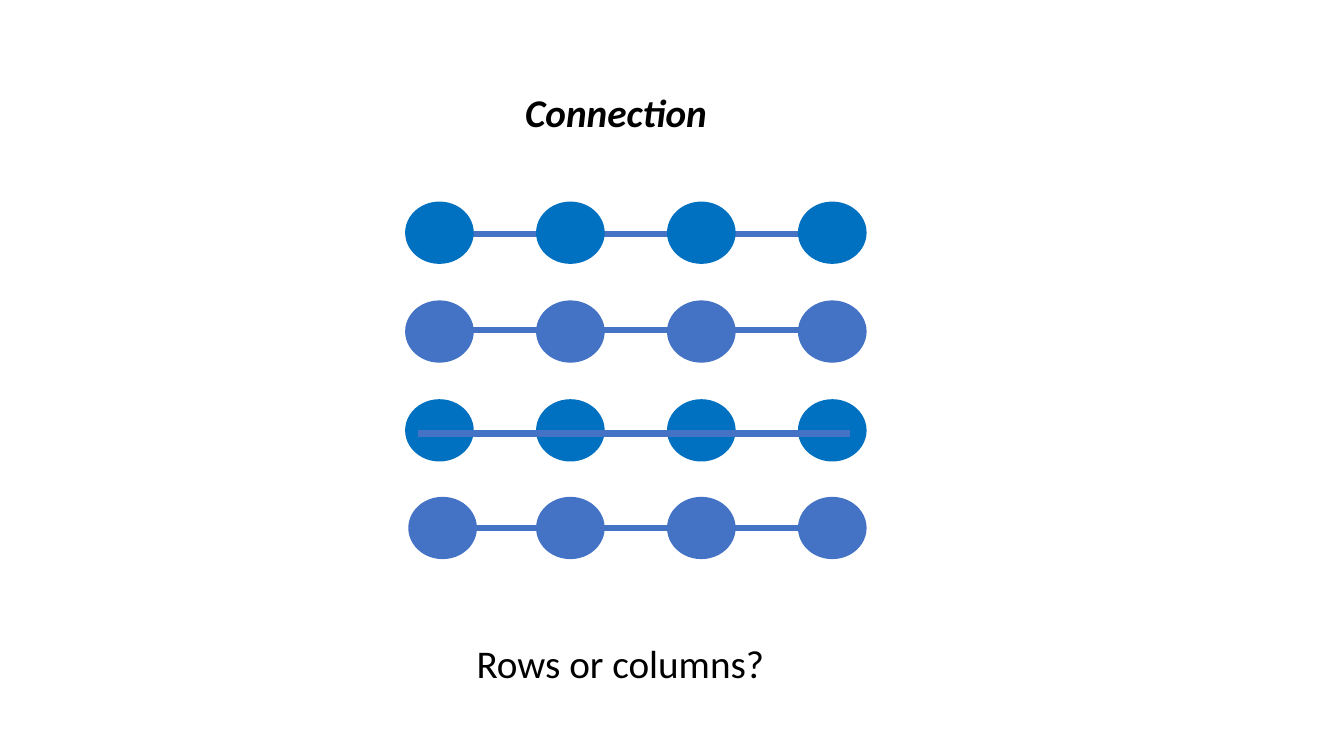
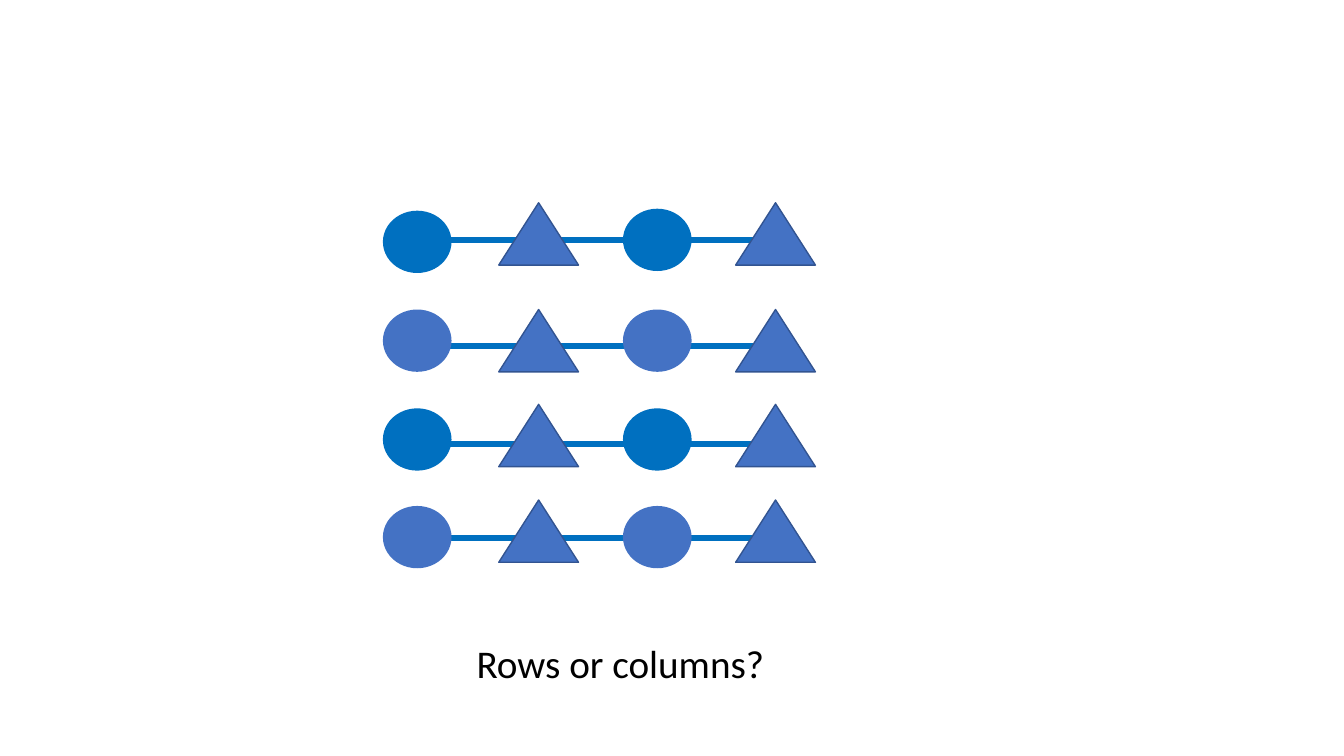
from pptx import Presentation
from pptx import util as u
from pptx.dml.color import RGBColor
from pptx.enum import shapes, text
from pptx.oxml.ns import qn
from lxml import etree

BLUE, STEEL, EDGE, BLACK = "0070C0", "4472C4", "325491", "000000"
SHADES = [BLUE, STEEL, BLUE, STEEL]  # one per row
HIGH = 1.57  # height of every mark, cm


def rgb(code):
    return RGBColor.from_string(code)


class Deck:
    """Holds the style and the current slide; lengths are in cm."""

    font, size, stroke = "Calibri", 28, 4.5

    def __init__(self):
        self.prs = Presentation()
        self.prs.slide_width, self.prs.slide_height = u.Cm(33.87), u.Cm(19.05)

    def new(self, title=False):
        layout = self.prs.slide_layouts[5 if title else 6]
        self.slide = self.prs.slides.add_slide(layout)

    def style(self, box, words, bold=False, slant=False):
        frame = box.text_frame
        frame.text = words
        frame.word_wrap = False
        frame.auto_size = text.MSO_AUTO_SIZE.SHAPE_TO_FIT_TEXT
        frame.vertical_anchor = text.MSO_ANCHOR.TOP
        para = frame.paragraphs[0]
        para.alignment = text.PP_ALIGN.LEFT
        font = para.font
        font.name, font.size = self.font, u.Pt(self.size)
        font.bold, font.italic = bold, slant
        font.color.rgb = rgb(BLACK)

    def title(self, words, x, y, w, h):
        box = self.slide.shapes.title
        box.left, box.top, box.width, box.height = map(u.Cm, (x, y, w, h))
        self.style(box, words, bold=True, slant=True)

    def label(self, words, x, y, w, h):
        box = self.slide.shapes.add_textbox(*map(u.Cm, (x, y, w, h)))
        self.style(box, words)

    def mark(self, kind, x, y, w, fill, edge=None):
        item = self.slide.shapes.add_shape(kind, *map(u.Cm, (x, y, w, HIGH)))
        item.shadow.inherit = False
        item.fill.solid()
        item.fill.fore_color.rgb = rgb(fill)
        if edge:
            item.line.color.rgb = rgb(edge)
            item.line.width = u.Pt(1)
        else:
            item.line.fill.background()

    def dot(self, x, y, fill):
        self.mark(shapes.MSO_SHAPE.OVAL, x, y, 1.73, fill)

    def peak(self, x, y):
        self.mark(shapes.MSO_SHAPE.ISOSCELES_TRIANGLE, x, y, 2.01, STEEL, EDGE)

    def link(self, x1, x2, y, color):
        line = self.slide.shapes.add_connector(
            shapes.MSO_CONNECTOR.STRAIGHT, *map(u.Cm, (x1, y, x2, y)))
        line.line.color.rgb = rgb(color)
        line.line.width = u.Pt(self.stroke)
        etree.SubElement(line._element.spPr, qn("a:effectLst"))

    def ask(self):
        self.label("Rows or columns?", 11.76, 15.98, 7.85, 1.45)


def circles(deck):
    deck.new(title=True)
    deck.title("Connection", 12.98, 2.11, 5.16, 1.45)
    # First link lies behind the dots
    deck.link(10.29, 20.83, 5.89, STEEL)
    # Grid of dots; the last row starts slightly further right
    for row, (y, fill) in enumerate(zip([5.08, 7.57, 10.06, 12.52], SHADES)):
        for col in range(4):
            nudge = 0.08 if (row, col) == (3, 0) else 0
            deck.dot(10.21 + 3.3 * col + nudge, y, fill)
    # Remaining links lie in front
    for x, y in [(10.54, 8.31), (10.54, 10.92), (10.92, 13.31)]:
        deck.link(x, 21.41, y, STEEL)
    deck.ask()


def mixed(deck):
    deck.new()
    # Links behind everything
    for x, y in [(9.75, 6.05), (10.29, 8.71), (10.29, 11.18), (10.29, 13.56)]:
        deck.link(x, x + 9.63, y, BLUE)
    # Columns of dots
    for x, top in [(9.65, 5.31), (15.7, 5.26)]:
        for y, fill in zip([top, 7.8, 10.29, 12.75], SHADES):
            deck.dot(x, y, fill)
    # Columns of triangles
    for x in (12.57, 18.54):
        for y in (5.11, 7.8, 10.19, 12.6):
            deck.peak(x, y)
    deck.ask()


def main():
    deck = Deck()
    circles(deck)
    mixed(deck)
    deck.prs.save("out.pptx")


if __name__ == "__main__":
    main()
